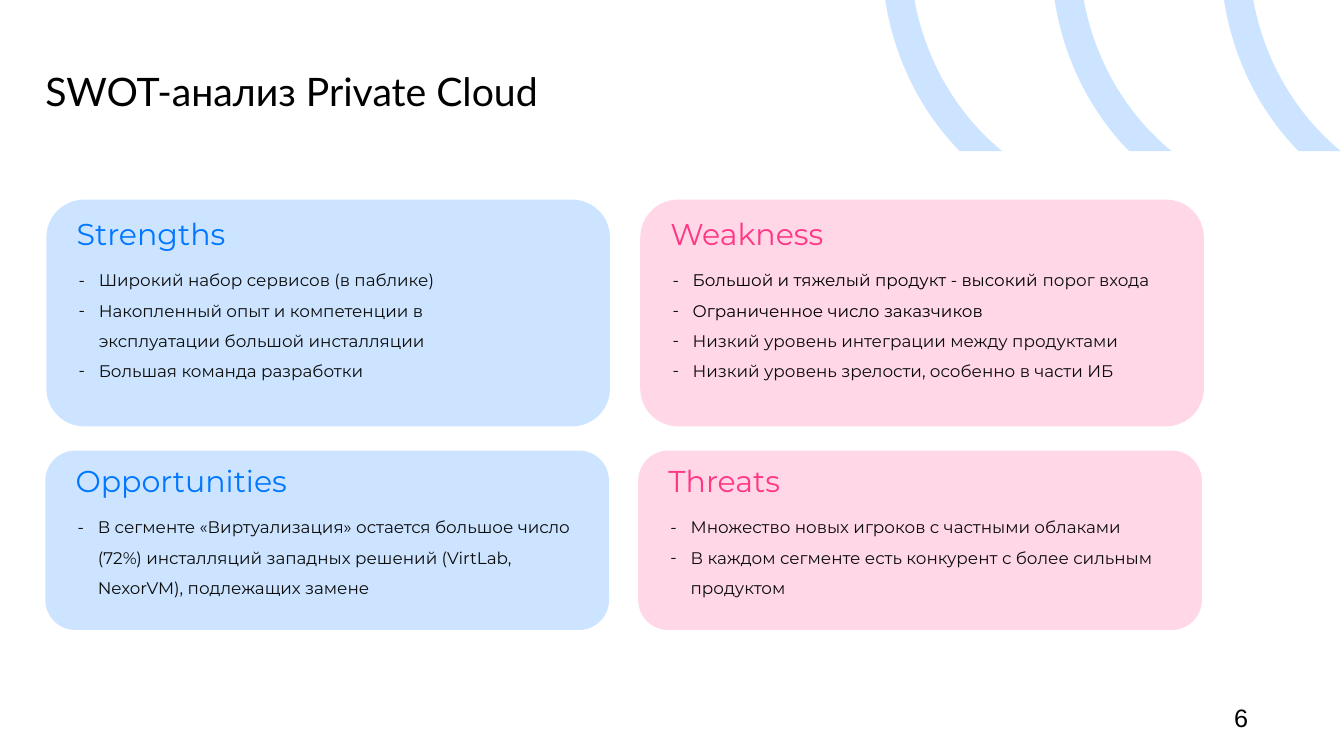
from dataclasses import dataclass

from lxml import etree
from pptx import Presentation
from pptx.dml.color import RGBColor
from pptx.enum.shapes import MSO_SHAPE
from pptx.enum.text import MSO_ANCHOR, MSO_AUTO_SIZE
from pptx.oxml.ns import qn
from pptx.util import Inches, Pt

ROUNDED = MSO_SHAPE.ROUNDED_RECTANGLE
TOP, MIDDLE = MSO_ANCHOR.TOP, MSO_ANCHOR.MIDDLE
GROW, FIXED = MSO_AUTO_SIZE.SHAPE_TO_FIT_TEXT, MSO_AUTO_SIZE.NONE


@dataclass(frozen=True)
class Theme:
    black: str = "000000"
    ink: str = "0C0C0C"
    blue: str = "0077FF"
    pale_blue: str = "CCE4FF"
    pink: str = "FF3785"
    pale_pink: str = "FFD7E7"
    title_font: str = "Lato"
    body_font: str = "Montserrat"
    number_font: str = "Arial"
    title_size: float = 28
    heading_size: float = 21.5
    body_size: float = 12
    number_size: float = 18


THEME = Theme()


@dataclass(frozen=True)
class Span:
    text: str
    color: str = THEME.ink
    font: str = THEME.body_font
    size: float = THEME.body_size


@dataclass(frozen=True)
class Row:
    top: float
    height: float
    heading_offset: float
    list_offset: float
    list_height: float


@dataclass(frozen=True)
class Card:
    heading: str
    left: float
    row: Row
    fill: str
    accent: str
    list_width: float
    bullets: list[list[Span]]


UPPER = Row(1.98, 2.25, 0.11, 0.55, 1.31)
LOWER = Row(4.47, 1.78, 0.07, 0.51, 1.01)
CARD_WIDTH, LIST_INSET = 5.59, 0.22

CARDS = [
    Card("Strengths", 0.46, UPPER, THEME.pale_blue, THEME.blue, 4.3, [
        [Span("Широкий набор сервисов (в паблике)")],
        [Span("Накопленный опыт и компетенции в эксплуатации большой инсталляции")],
        [Span("Большая команда разработки")],
    ]),
    Card("Opportunities", 0.45, LOWER, THEME.pale_blue, THEME.blue, 5.06, [
        [Span("В сегменте «Виртуализация» остается большое число (72%) "
              "инсталляций западных решений (VirtLab, NexorVM), подлежащих замене")],
    ]),
    Card("Weakness", 6.35, UPPER, THEME.pale_pink, THEME.pink, 5.09, [
        [Span("Большой и тяжелый продукт - высокий ", THEME.black), Span("порог входа")],
        [Span("Ограниченное число заказчиков", THEME.black)],
        [Span("Низкий уровень интеграции между продуктами")],
        [Span("Низкий уровень зрелости, особенно в части ИБ")],
    ]),
    Card("Threats", 6.33, LOWER, THEME.pale_pink, THEME.pink, 5.1, [
        [Span("Множество новых игроков с частными облаками")],
        [Span("В каждом сегменте есть конкурент с более сильным продуктом")],
    ]),
]

# Each arc is two Bezier edges, measured from its top left corner
ARC_LEFTS = [8.78, 10.46, 12.14]
INNER_EDGE = [(0.29, 0), (0.4, 0.6), (0.71, 1.13), (1.16, 1.5)]
OUTER_EDGE = [(0.74, 1.5), (0.35, 1.1), (0.09, 0.58), (0, 0)]


def paint(shape, color: str) -> None:
    shape.shadow.inherit = False
    shape.fill.solid()
    shape.fill.fore_color.rgb = RGBColor.from_string(color)
    shape.line.fill.background()


def add_dash(para) -> None:
    properties = para._p.get_or_add_pPr()
    bullet_color = etree.SubElement(properties, qn("a:buClr"))
    etree.SubElement(bullet_color, qn("a:srgbClr"), val=THEME.ink)
    etree.SubElement(properties, qn("a:buSzPts"), val=str(THEME.body_size * 100))
    etree.SubElement(properties, qn("a:buFont"), typeface=THEME.body_font)
    etree.SubElement(properties, qn("a:buChar"), char="-")


def add_text(page, left: float, top: float, width: float, height: float,
             paragraphs: list[list[Span]], inset: float = 0.05, anchor=TOP, fit=GROW,
             margin: float = 0, dashed: bool = False, spacing: float = 1.0) -> None:
    box = page.shapes.add_textbox(Inches(left), Inches(top), Inches(width), Inches(height))
    frame = box.text_frame
    frame_format = {"word_wrap": True, "vertical_anchor": anchor, "auto_size": fit}
    for side in ("left", "top", "right", "bottom"):
        frame_format[f"margin_{side}"] = Inches(inset)
    for name, value in frame_format.items():
        setattr(frame, name, value)
    for index, spans in enumerate(paragraphs):
        para = frame.add_paragraph() if index else frame.paragraphs[0]
        para.line_spacing = spacing
        properties = para._p.get_or_add_pPr()
        properties.set("marL", str(Inches(margin)))
        properties.set("indent", str(Inches(-0.2 if dashed else 0)))
        if dashed:
            add_dash(para)
        for span in spans:
            run = para.add_run()
            run.text = span.text
            for name, value in {"name": span.font, "size": Pt(span.size)}.items():
                setattr(run.font, name, value)
            run.font.color.rgb = RGBColor.from_string(span.color)


def add_card(page, card: Card) -> None:
    row = card.row
    panel = page.shapes.add_shape(ROUNDED, Inches(card.left), Inches(row.top),
                                  Inches(CARD_WIDTH), Inches(row.height))
    panel.adjustments[0] = 0.167
    paint(panel, card.fill)
    heading = Span(card.heading, card.accent, size=THEME.heading_size)
    add_text(page, card.left, row.top + row.heading_offset, CARD_WIDTH, 0.46,
             [[heading]], margin=0.25)
    add_text(page, card.left + LIST_INSET, row.top + row.list_offset, card.list_width,
             row.list_height, card.bullets, margin=0.25, dashed=True, spacing=1.5)


def bend(segments: list) -> None:
    """Turn three straight segments into one cubic curve."""
    curve = etree.Element(qn("a:cubicBezTo"))
    segments[0].addprevious(curve)
    for segment in segments:
        curve.append(segment[0])
        segment.getparent().remove(segment)


def add_arc(page, left: float) -> None:
    outline = [(Inches(left + x), Inches(y)) for x, y in INNER_EDGE + OUTER_EDGE]
    builder = page.shapes.build_freeform(*outline[0])
    builder.add_line_segments(outline[1:], close=True)
    arc = builder.convert_to_shape()
    segments = list(arc._element.iter(qn("a:lnTo")))
    bend(segments[:3])
    bend(segments[4:7])
    paint(arc, THEME.pale_blue)


def main() -> None:
    deck = Presentation()
    deck.slide_width, deck.slide_height = Inches(13.33), Inches(7.5)
    page = deck.slides.add_slide(deck.slide_layouts[6])

    # Page number
    number = Span("6", THEME.black, THEME.number_font, THEME.number_size)
    add_text(page, 12.2, 6.93, 0.4, 0.38, [[number]], inset=0.04, anchor=MIDDLE)

    # Four quadrants
    for card in CARDS:
        add_card(page, card)

    # Corner decoration
    for left in ARC_LEFTS:
        add_arc(page, left)

    # Title
    title = Span("SWOT-анализ Private Cloud", THEME.black, THEME.title_font, THEME.title_size)
    add_text(page, 0.45, 0.72, 11.87, 0.7, [[title]], inset=0, fit=FIXED, spacing=0.9)

    deck.save("out.pptx")


if __name__ == "__main__":
    main()
